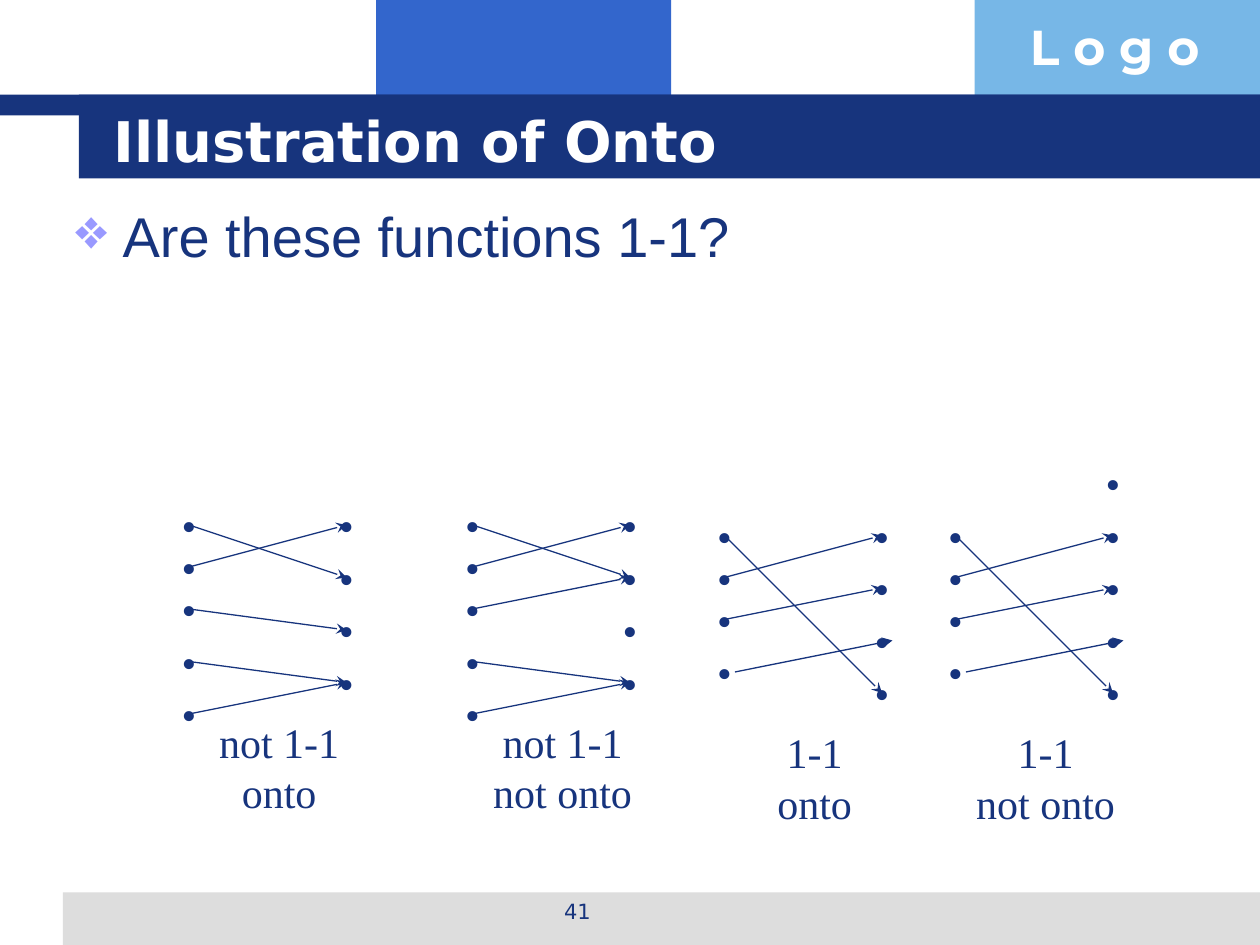
from dataclasses import dataclass
from typing import Any

from lxml.etree import SubElement
from pptx import Presentation
from pptx.dml.color import RGBColor
from pptx.enum.shapes import MSO_CONNECTOR, MSO_SHAPE
from pptx.enum.text import MSO_ANCHOR, MSO_AUTO_SIZE, PP_ALIGN
from pptx.oxml.ns import qn
from pptx.util import Pt

NAVY = RGBColor(0x17, 0x34, 0x7D)
BLUE = RGBColor(0x33, 0x66, 0xCC)
SKY = RGBColor(0x77, 0xB7, 0xE7)
GRAY = RGBColor(0xDD, 0xDD, 0xDD)
LILAC = RGBColor(0x99, 0x99, 0xFF)
WHITE = RGBColor(0xFF, 0xFF, 0xFF)

LOGO = {"name": "Montserrat", "size": Pt(28), "bold": True}
HEAD = {"name": "DejaVu Sans", "size": Pt(32), "bold": True}
PAGE = {"name": "DejaVu Sans", "size": Pt(12)}
BODY = {"name": "Arial", "size": Pt(32)}
NOTE = {"name": "Times New Roman", "size": Pt(24)}

SPAN = 90
SHIFT = 6
LEADING = 28.8
LEFT_ROWS = (0, 24, 48, 78, 108)
RIGHT_ROWS = (0, 30, 60, 90)


@dataclass(frozen=True)
class Box:
    left: float
    top: float
    width: float
    height: float

    def lengths(self) -> tuple:
        return Pt(self.left), Pt(self.top), Pt(self.width), Pt(self.height)


@dataclass(frozen=True)
class Bar:
    box: Box
    color: RGBColor


@dataclass(frozen=True)
class Arrow:
    start: int
    end: int
    shift: float = 0


@dataclass(frozen=True)
class Panel:
    left: float
    top: float
    label: str
    starts: tuple
    ends: tuple
    arrows: tuple


BARS = (
    Bar(Box(215, 0, 168.5, 66), BLUE),
    Bar(Box(557, 0, 163, 66), SKY),
    Bar(Box(36, 510, 684, 30), GRAY),
    Bar(Box(0, 54, 720, 12), NAVY),
    Bar(Box(45, 54, 675, 48), NAVY),
)

ONE_ARROWS = (Arrow(1, 0), Arrow(2, 1), Arrow(0, 3), Arrow(3, 2, SHIFT))
MERGE = (Arrow(0, 1), Arrow(1, 0), Arrow(3, 3), Arrow(4, 3))
FOUR = LEFT_ROWS[:4]
PANELS = (
    Panel(108, 300, "not 1-1\vonto", LEFT_ROWS, RIGHT_ROWS, MERGE + (Arrow(2, 2),)),
    Panel(270, 300, "not 1-1\vnot onto", LEFT_ROWS, RIGHT_ROWS, MERGE + (Arrow(2, 1),)),
    Panel(414, 306, "1-1\vonto", FOUR, RIGHT_ROWS, ONE_ARROWS),
    Panel(546, 306, "1-1\vnot onto", FOUR, RIGHT_ROWS + (-30,), ONE_ARROWS),
)


def apply(target: Any, values: dict) -> None:
    for name, value in values.items():
        setattr(target, name, value)


def style(shape: Any, text: str, font: dict, color: RGBColor,
          frame: dict, para: dict) -> None:
    block = shape.text_frame
    block.text = text
    apply(block, {"auto_size": MSO_AUTO_SIZE.NONE, **frame})
    first = block.paragraphs[0]
    apply(first, para)
    for run in first.runs:
        apply(run.font, font)
        run.font.color.rgb = color


def add_text(slide: Any, box: Box, text: str, font: dict,
             color: RGBColor = NAVY, **para: Any) -> Any:
    shape = slide.shapes.add_textbox(*box.lengths())
    style(shape, text, font, color, {"word_wrap": True}, para)
    return shape


def add_note(slide: Any, x: float, y: float, text: str, box: tuple) -> None:
    width, height = box
    shape = add_text(slide, Box(x - width / 2, y - height / 2, width, height), text, NOTE,
                     alignment=PP_ALIGN.CENTER, line_spacing=Pt(LEADING))
    apply(shape.text_frame, {"word_wrap": False, "vertical_anchor": MSO_ANCHOR.MIDDLE})


def add_bar(slide: Any, bar: Bar) -> None:
    shape = slide.shapes.add_shape(MSO_SHAPE.RECTANGLE, *bar.box.lengths())
    shape.shadow.inherit = False
    shape.fill.solid()
    shape.fill.fore_color.rgb = bar.color
    shape.line.fill.background()


def add_arrow(slide: Any, x: float, y: float, end: float) -> None:
    line = slide.shapes.add_connector(
        MSO_CONNECTOR.STRAIGHT, Pt(x), Pt(y), Pt(x + SPAN), Pt(end))
    line.line.color.rgb = NAVY
    line.line.width = Pt(0.75)
    SubElement(line.line._get_or_add_ln(), qn("a:tailEnd"), type="stealth")
    SubElement(line._element.spPr, qn("a:effectLst"))


def add_panel(slide: Any, panel: Panel) -> None:
    for x, rows in ((panel.left, panel.starts), (panel.left + SPAN, panel.ends)):
        for row in rows:
            add_note(slide, x, panel.top + row, "•", (22, 36))
    for arrow in panel.arrows:
        add_arrow(slide, panel.left + arrow.shift,
                  panel.top + panel.starts[arrow.start],
                  panel.top + panel.ends[arrow.end])
    add_note(slide, panel.left + 51.5, panel.top + 138, panel.label, (94, 65))


def add_title(slide: Any) -> None:
    title = slide.shapes.title
    title.element.getparent().append(title.element)
    place = zip(("left", "top", "width", "height"), Box(57.6, 57.6, 614, 44.6).lengths())
    apply(title, dict(place))
    style(title, "Illustration of Onto", HEAD, WHITE,
          {"vertical_anchor": MSO_ANCHOR.MIDDLE}, {"alignment": PP_ALIGN.LEFT})


def add_body(slide: Any) -> None:
    shape = add_text(slide, Box(36, 111.6, 648, 384.5), "Are these functions 1-1?", BODY)
    props = shape.text_frame.paragraphs[0]._p.get_or_add_pPr()
    props.set("marL", str(Pt(27)))
    props.set("indent", str(Pt(-27)))
    tint = SubElement(props, qn("a:buClr"))
    SubElement(tint, qn("a:srgbClr"), val=str(LILAC))
    SubElement(props, qn("a:buChar"), char="❖")


def main() -> None:
    deck = Presentation()
    apply(deck, {"slide_width": Pt(720), "slide_height": Pt(540)})
    slide = deck.slides.add_slide(deck.slide_layouts[5])
    for bar in BARS:
        add_bar(slide, bar)
    add_text(slide, Box(581.5, 6, 138.5, 41), "L o g o", LOGO, WHITE)
    add_text(slide, Box(246, 510, 168, 25), "41", PAGE, alignment=PP_ALIGN.CENTER)
    add_title(slide)
    add_body(slide)
    for panel in PANELS:
        add_panel(slide, panel)
    deck.save("out.pptx")


if __name__ == "__main__":
    main()
